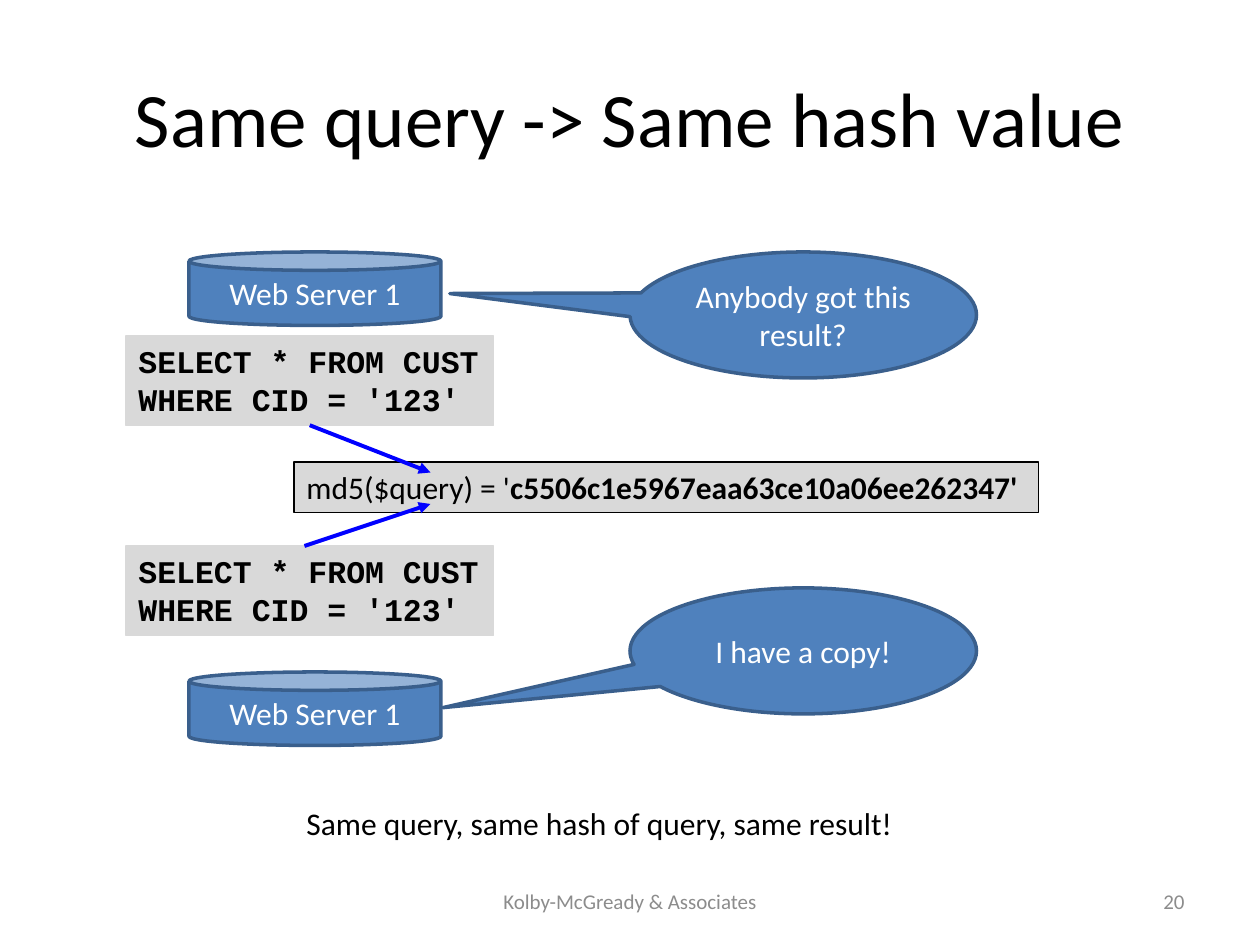
from lxml.etree import SubElement
from pptx import Presentation
from pptx.dml.color import RGBColor
from pptx.enum.shapes import MSO_CONNECTOR, MSO_SHAPE
from pptx.enum.text import MSO_ANCHOR, MSO_AUTO_SIZE, PP_ALIGN
from pptx.oxml.ns import qn
from pptx.util import Pt

BLACK = RGBColor(0x00, 0x00, 0x00)
WHITE = RGBColor(0xFF, 0xFF, 0xFF)
GRAY = RGBColor(0xD9, 0xD9, 0xD9)
FOOTER = RGBColor(0x8C, 0x8C, 0x8C)
STEEL = RGBColor(0x4F, 0x81, 0xBD)
NAVY = RGBColor(0x3A, 0x5F, 0x8C)
BLUE = RGBColor(0x00, 0x00, 0xFF)
LEFT, CENTER, RIGHT = PP_ALIGN.LEFT, PP_ALIGN.CENTER, PP_ALIGN.RIGHT
TOP, MIDDLE = MSO_ANCHOR.TOP, MSO_ANCHOR.MIDDLE

prs = Presentation()
prs.slide_width, prs.slide_height = Pt(720), Pt(540)
s = prs.slides.add_slide(prs.slide_layouts[6])


def set_text(sp, text, size=18, color=BLACK, name="Calibri", align=LEFT,
             anchor=TOP, wrap=False):
    tf = sp.text_frame
    tf.word_wrap = wrap
    tf.auto_size = MSO_AUTO_SIZE.NONE if wrap else MSO_AUTO_SIZE.SHAPE_TO_FIT_TEXT
    tf.vertical_anchor = anchor
    p = tf.paragraphs[0]
    p.text = text
    p.alignment = align
    p.font.size, p.font.name = Pt(size), name
    p.font.color.rgb = color
    return p


def add_box(kind, x, y, w, h, fill, line, weight):
    sp = s.shapes.add_shape(kind, Pt(x), Pt(y), Pt(w), Pt(h))
    sp.shadow.inherit = False
    sp.fill.solid()
    sp.fill.fore_color.rgb = fill
    sp.line.color.rgb = line
    sp.line.width = Pt(weight)
    return sp


for y in (192, 312):
    sp = add_box(MSO_SHAPE.RECTANGLE, 72, y, 210, 51, GRAY, GRAY, 0.75)
    p = set_text(sp, "SELECT * FROM CUST\vWHERE CID = '123'", name="Courier New")
    p.font.bold = True

sp = add_box(MSO_SHAPE.RECTANGLE, 168, 264, 425.5, 29, GRAY, BLACK, 0.75)
p = set_text(sp, "md5($query) = '")
r = p.add_run()
r.text = "c5506c1e5967eaa63ce10a06ee262347'"
r.font.bold = True

for y in (144, 384):
    sp = add_box(MSO_SHAPE.CAN, 108, y, 144, 42, STEEL, NAVY, 2)
    set_text(sp, "Web Server 1", color=WHITE, align=CENTER, anchor=MIDDLE, wrap=True)

for y, text, dx, dy in (
    (144, "Anybody got this result?", -1.02, -0.17),
    (336, "I have a copy!", -1.04, 0.45),
):
    sp = add_box(MSO_SHAPE.OVAL_CALLOUT, 360, y, 198, 72, STEEL, NAVY, 2)
    sp.adjustments[0], sp.adjustments[1] = dx, dy
    set_text(sp, text, color=WHITE, align=CENTER, anchor=MIDDLE, wrap=True)

for x1, y1, x2, y2 in ((177, 243, 246, 270), (174, 312, 246, 288)):
    sp = s.shapes.add_connector(MSO_CONNECTOR.STRAIGHT, Pt(x1), Pt(y1), Pt(x2), Pt(y2))
    sp.line.color.rgb = BLUE
    sp.line.width = Pt(2.25)
    SubElement(sp.line._get_or_add_ln(), qn("a:tailEnd"), type="triangle")
    SubElement(sp._element.spPr, qn("a:effectLst"))

for x, y, w, h, text, size, color, align, anchor, wrap in (
    (36, 21.6, 648, 90, "Same query -> Same hash value", 44, BLACK, CENTER, MIDDLE, True),
    (168, 456, 353.5, 29, "Same query, same hash of query, same result!", 18, BLACK, LEFT, TOP, False),
    (246, 500.5, 228, 28.75, "Kolby-McGready & Associates", 12, FOOTER, CENTER, MIDDLE, True),
    (516, 500.5, 168, 28.75, "20", 12, FOOTER, RIGHT, MIDDLE, True),
):
    sp = s.shapes.add_textbox(Pt(x), Pt(y), Pt(w), Pt(h))
    set_text(sp, text, size, color, align=align, anchor=anchor, wrap=wrap)

prs.save("out.pptx")
